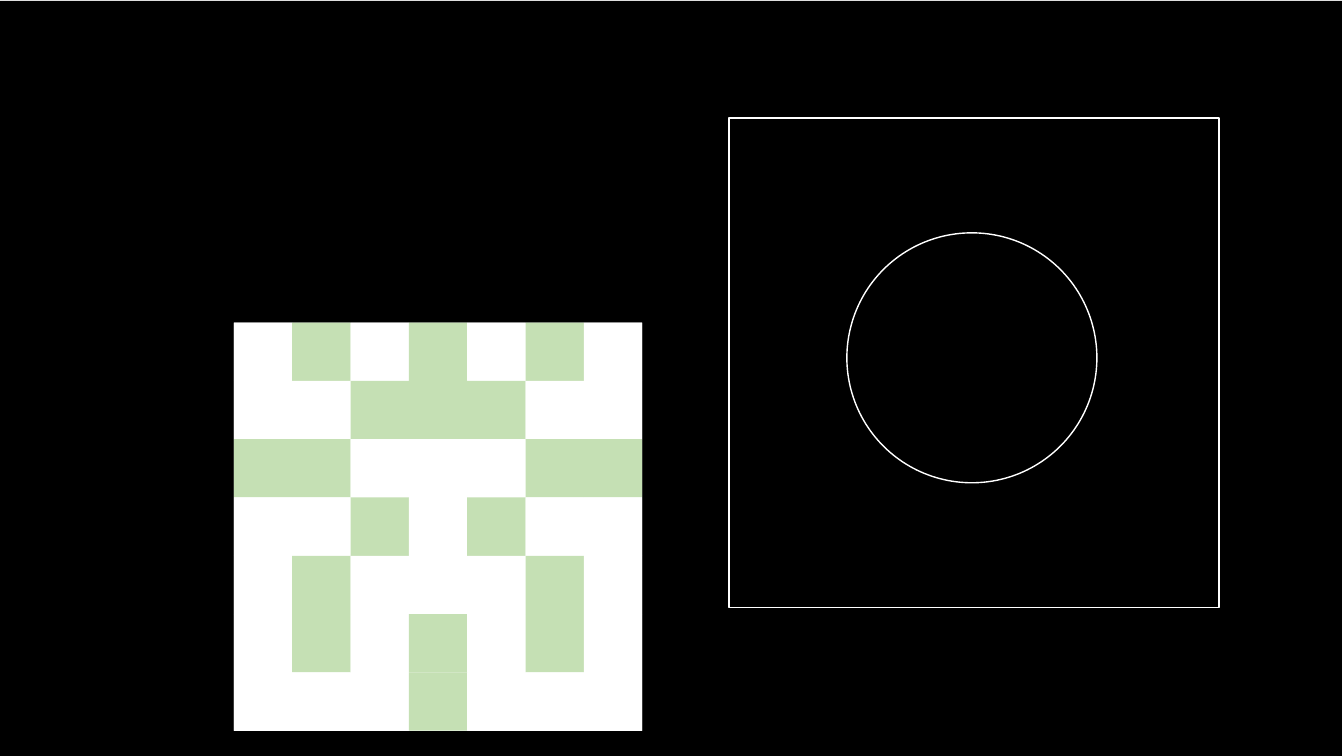
"""Builds a slide with a pixel pattern beside a square that has a round hole."""
from lxml import etree
from pptx import Presentation
from pptx import util as u
from pptx.dml.color import RGBColor
from pptx.enum import shapes as kinds
from pptx.oxml.ns import qn

BLACK = RGBColor(0x00, 0x00, 0x00)
WHITE = RGBColor(0xFF, 0xFF, 0xFF)
GREEN = RGBColor(0xC5, 0xE0, 0xB4)

ROWS = [
    ".#.#.#.",
    "..###..",
    "##...##",
    "..#.#..",
    ".#...#.",
    ".#.#.#.",
    "...#...",
]


def add_rect(parent, left, top, width, height, color):
    """Add a plain filled rectangle without outline."""
    rect = parent.add_shape(
        kinds.MSO_SHAPE.RECTANGLE,
        u.Inches(left), u.Inches(top), u.Inches(width), u.Inches(height))
    rect.shadow.inherit = False
    rect.fill.solid()
    rect.fill.fore_color.rgb = color
    rect.line.fill.background()


def add_mask(slide, left, top, side, hole_x, hole_y, radius):
    """Add an outlined square with a round hole centred at an offset."""
    x, y, size = u.Inches(left), u.Inches(top), u.Inches(side)
    pen = slide.shapes.build_freeform(x, y)
    pen.add_line_segments([(x + size, y), (x + size, y + size), (x, y + size)])
    mask = pen.convert_to_shape()
    mask.shadow.inherit = False
    mask.fill.solid()
    mask.fill.fore_color.rgb = BLACK
    mask.line.color.rgb = WHITE
    mask.line.width = u.Pt(1)

    trace = mask.element.find(".//" + qn("a:path"))
    move = etree.SubElement(trace, qn("a:moveTo"))
    etree.SubElement(move, qn("a:pt"), x=str(u.Inches(hole_x - radius)),
                     y=str(u.Inches(hole_y)))
    reach = str(u.Inches(radius))
    for start in ("10800000", "0"):
        etree.SubElement(trace, qn("a:arcTo"), wR=reach, hR=reach,
                         stAng=start, swAng="10800000")
    etree.SubElement(trace, qn("a:close"))


def add_grid(slide, left, top, side):
    """Add the grouped pixel pattern inside a square box."""
    cells = slide.shapes.add_group_shape().shapes
    add_rect(cells, left, top, side, side, WHITE)
    step = side / len(ROWS)
    for row, marks in enumerate(ROWS):
        for col, mark in enumerate(marks):
            add_rect(cells, left + col * step, top + row * step, step, step,
                     GREEN if mark == "#" else WHITE)


def main():
    """Build and save the slide."""
    deck = Presentation()
    deck.slide_width, deck.slide_height = u.Inches(13.33), u.Inches(7.5)
    slide = deck.slides.add_slide(deck.slide_layouts[6])
    add_rect(slide.shapes, -0.02, 0.01, 13.33, 7.5, BLACK)
    add_mask(slide, 7.23, 1.17, 4.86, 2.41, 2.38, 1.24)
    add_grid(slide, 2.32, 3.2, 4.05)
    deck.save("out.pptx")


if __name__ == "__main__":
    main()
